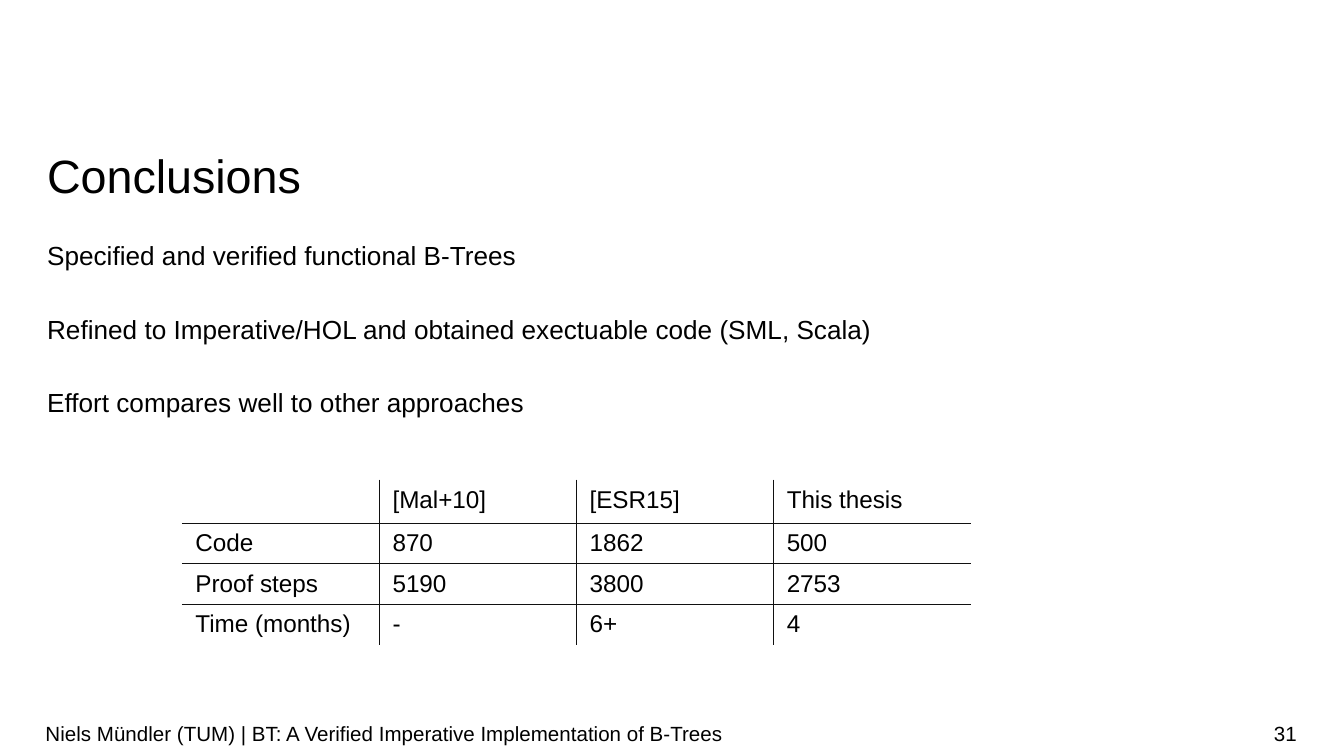
from dataclasses import dataclass
from lxml.etree import SubElement as Sub
from pptx import Presentation
from pptx.dml.color import RGBColor as Rgb
from pptx.enum.text import MSO_ANCHOR as Anchor, MSO_AUTO_SIZE as Auto, PP_ALIGN as Align
from pptx.oxml.ns import qn
from pptx.util import Cm, Pt


@dataclass(frozen=True)
class Theme:
    """Colours, font and type sizes."""
    font: str = "Arial"
    ink: str = "000000"
    rule: str = "111111"
    paper: str = "FFFFFF"
    title: int = 25
    body: int = 14
    cell: int = 13
    foot: int = 11
    line: float = 0.06


THEME = Theme()
POINTS = [
    "Specified and verified functional B-Trees",
    "Refined to Imperative/HOL and obtained exectuable code (SML, Scala)",
    "Effort compares well to other approaches",
]
EFFORT = [
    ["", "[Mal+10]", "[ESR15]", "This thesis"],
    ["Code", "870", "1862", "500"],
    ["Proof steps", "5190", "3800", "2753"],
    ["Time (months)", "-", "6+", "4"],
]


def style(para, size):
    """Format the runs of a paragraph."""
    for run in para.runs:
        font = run.font
        font.name, font.size, font.bold = THEME.font, Pt(size), False
        font.color.rgb = Rgb.from_string(THEME.ink)


def place(shape, box):
    """Put a shape in its box, given in centimetres."""
    shape.left, shape.top, shape.width, shape.height = map(Cm, box)


def setup(frame, anchor, pad=0):
    """Set wrapping, anchor and insets of a text frame."""
    frame.word_wrap, frame.auto_size = True, Auto.NONE
    frame.vertical_anchor = anchor
    frame.margin_left = frame.margin_right = 0
    frame.margin_top = frame.margin_bottom = Cm(pad)


def head(slide, text, box):
    """Fill the title placeholder."""
    shape = slide.shapes.title
    place(shape, box)
    frame = shape.text_frame
    frame.text = text
    setup(frame, Anchor.TOP)
    para = frame.paragraphs[0]
    para.alignment, para.line_spacing = Align.LEFT, Pt(32)
    style(para, THEME.title)


def body(slide, points, box):
    """Fill the body placeholder with spaced, unmarked points."""
    shape = slide.placeholders[1]
    place(shape, box)
    frame = shape.text_frame
    frame.text = "\n".join(points)
    setup(frame, Anchor.TOP)
    for i, para in enumerate(frame.paragraphs):
        props = para._p.get_or_add_pPr()
        props.set("marL", "0")
        props.set("indent", "0")
        Sub(props, qn("a:buNone"))
        para.line_spacing = 1.14
        para.space_before = Pt(20 if i else 0)
        style(para, THEME.body)


def border(cell, sides):
    """Draw cell borders from a map of side to colour."""
    props = cell._tc.get_or_add_tcPr()
    for side, color in sides.items():
        line = Sub(props, qn(f"a:ln{side}"), w=str(Pt(THEME.line)))
        fill = Sub(line, qn("a:solidFill"))
        Sub(fill, qn("a:srgbClr"), val=color)


def grid(slide, data, box):
    """Build a table with inner rules only."""
    rows, cols = len(data), len(data[0])
    table = slide.shapes.add_table(rows, cols, *map(Cm, box)).table
    table.first_row = table.horz_banding = False
    for r, row in enumerate(data):
        for c, text in enumerate(row):
            cell = table.cell(r, c)
            cell.text = text
            para = cell.text_frame.paragraphs[0]
            style(para, THEME.cell)
            if not text:
                Sub(para._p, qn("a:endParaRPr"), sz=str(THEME.cell * 100))
            edges = {"L": c == 0, "R": c == cols - 1, "T": r == 0, "B": r == rows - 1}
            border(cell, {side: THEME.paper if outer else THEME.rule
                          for side, outer in edges.items()})
            cell.fill.background()


def note(slide, text, box, align):
    """Add one part of the footer."""
    frame = slide.shapes.add_textbox(*map(Cm, box)).text_frame
    frame.text = text
    setup(frame, Anchor.MIDDLE, 0.13)
    para = frame.paragraphs[0]
    para.alignment = align
    style(para, THEME.foot)


def foot(slide, text, page, box):
    """Split the footer into a text and a page number."""
    left, top, width, height = box
    part = width * 0.76
    note(slide, text, (left, top, part, height), Align.LEFT)
    note(slide, page, (left + part, top, width - part, height), Align.RIGHT)


def main():
    """Build and save the slide."""
    deck = Presentation()
    deck.slide_width, deck.slide_height = Cm(25.4), Cm(14.29)
    slide = deck.slides.add_slide(deck.slide_layouts[1])
    slide.background.fill.solid()
    slide.background.fill.fore_color.rgb = Rgb.from_string(THEME.paper)
    body(slide, POINTS, (0.89, 4.45, 23.65, 8.6))
    head(slide, "Conclusions", (0.89, 2.7, 23.65, 1.14))
    grid(slide, EFFORT, (3.44, 9.07, 14.9, 3.06))
    foot(slide, "Niels Mündler (TUM) | BT: A Verified Imperative Implementation of B-Trees",
         "31", (0.86, 13.49, 23.65, 0.76))
    deck.save("out.pptx")


if __name__ == "__main__":
    main()
